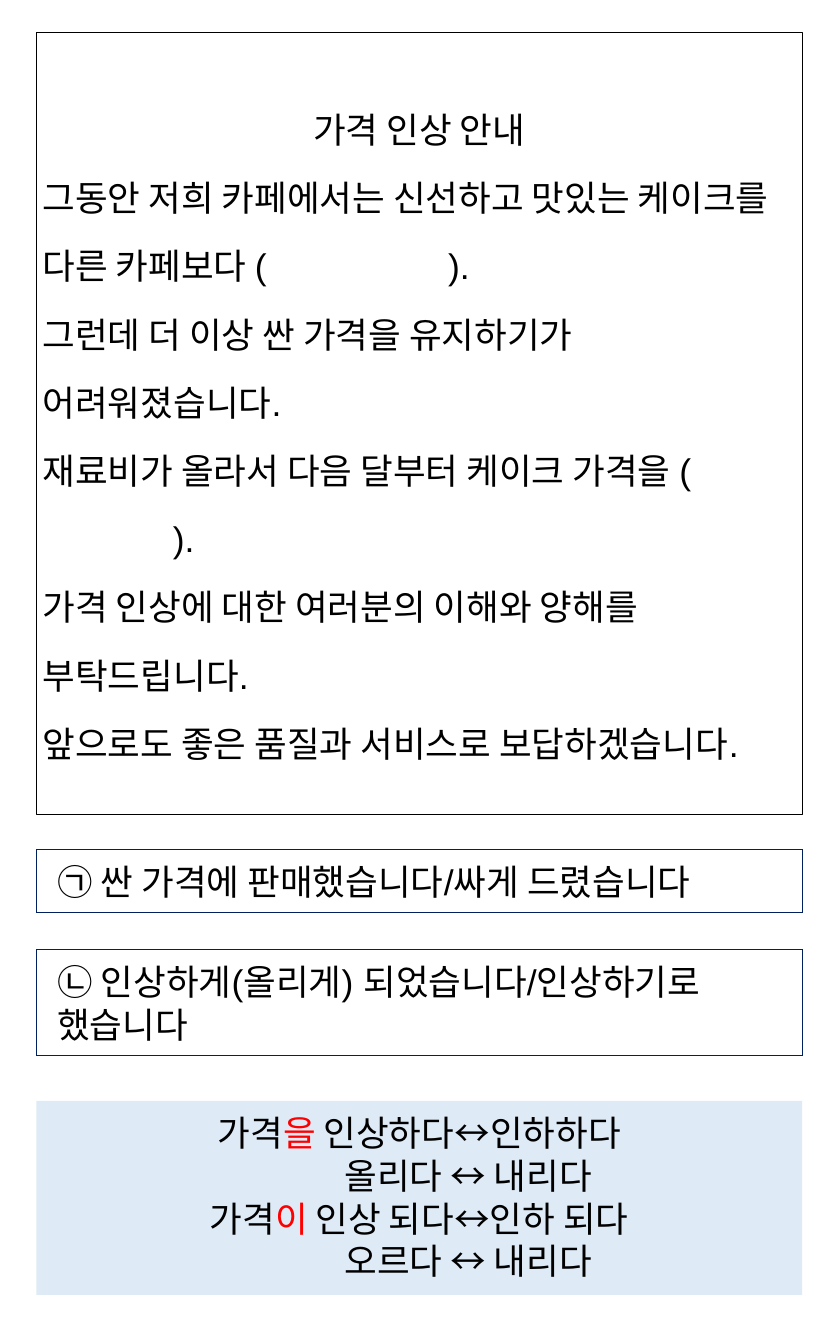
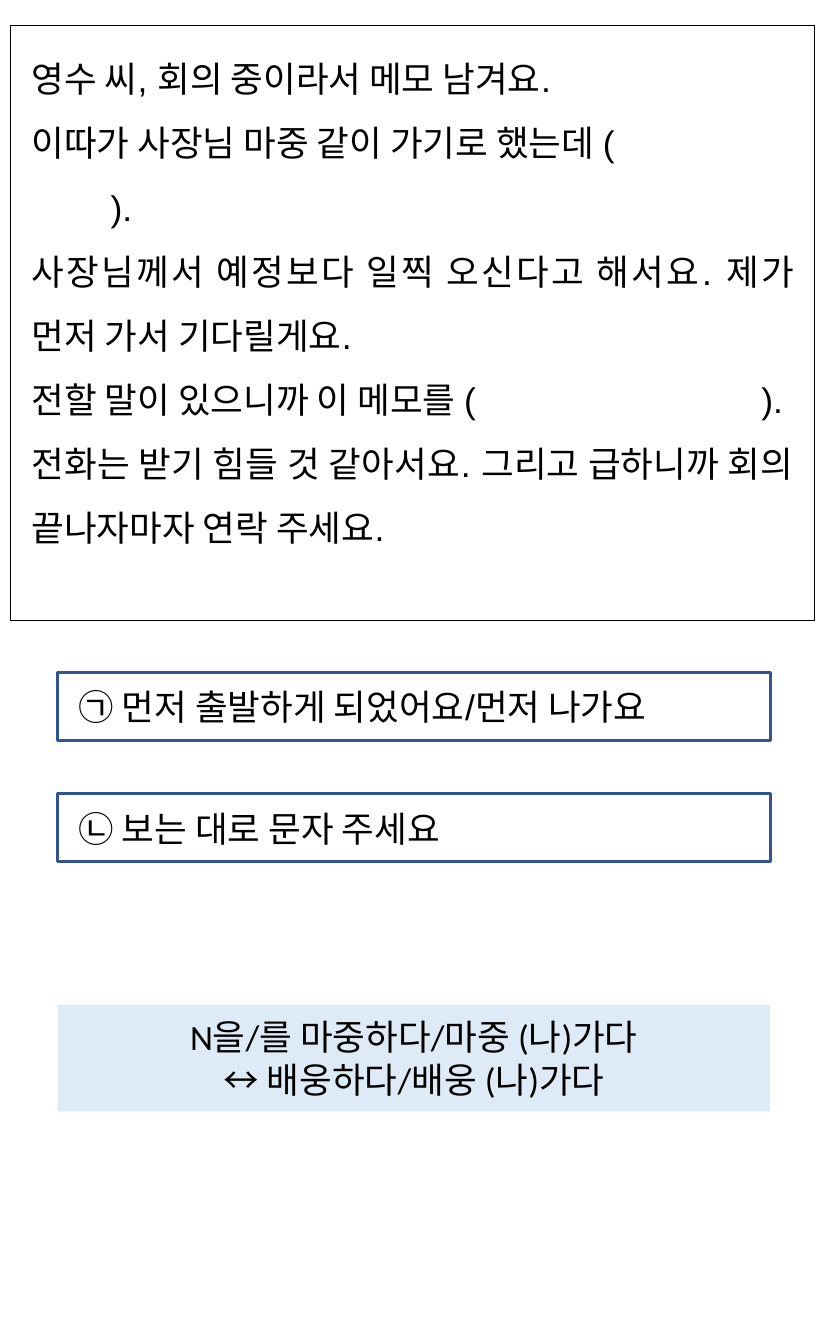
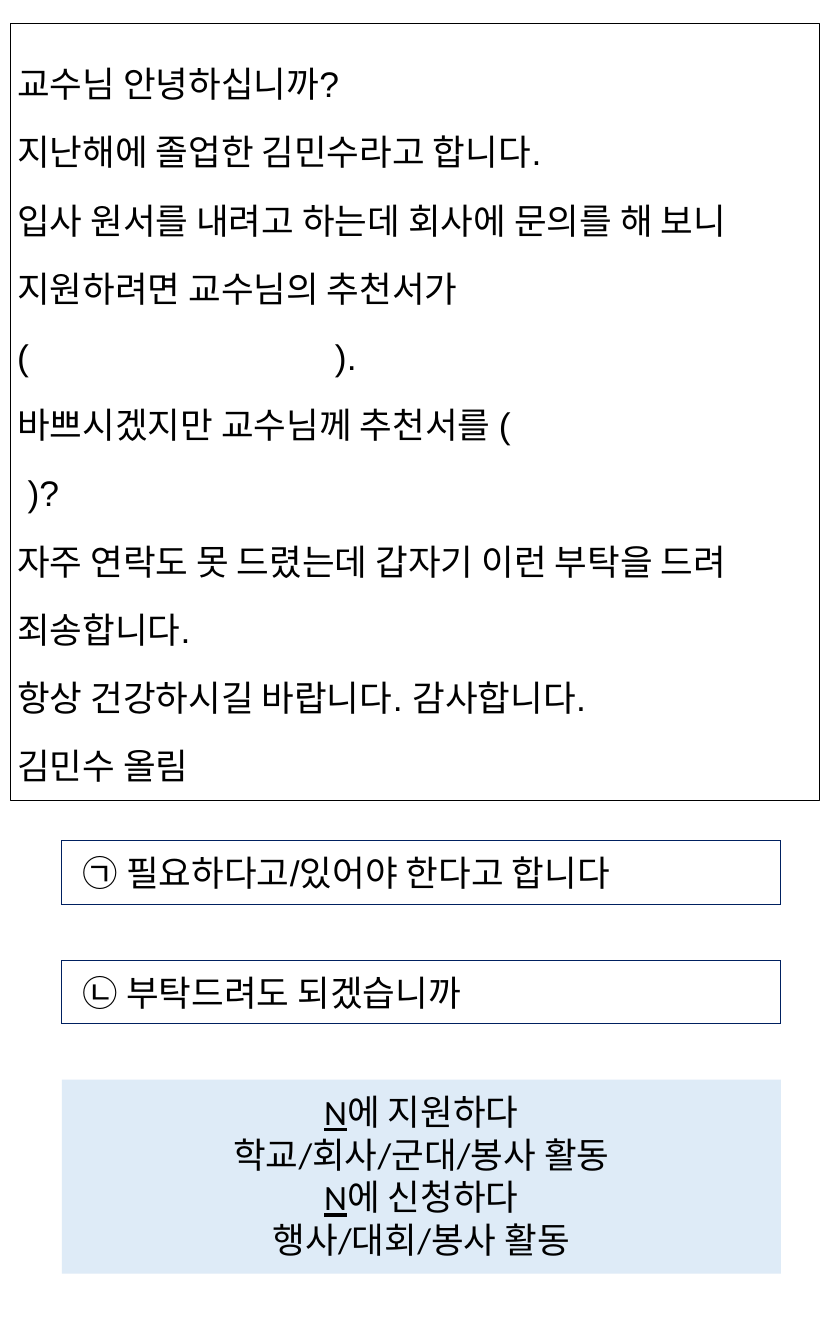
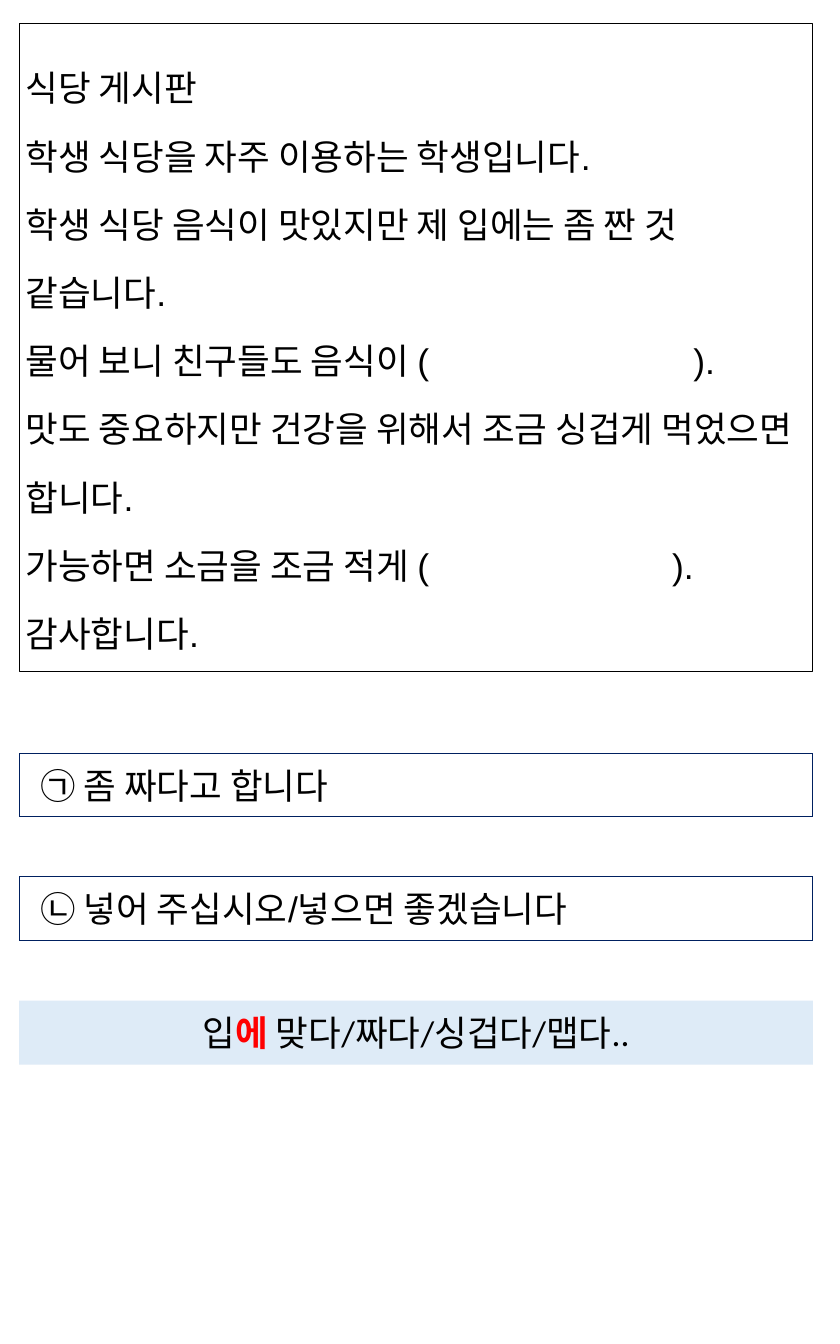
from lxml.etree import SubElement
from pptx import Presentation
from pptx.dml.color import RGBColor
from pptx.enum.text import MSO_ANCHOR, MSO_AUTO_SIZE, PP_ALIGN
from pptx.oxml.ns import qn
from pptx.util import Inches, Pt

COLORS = {"ink": "000000", "paper": "FFFFFF", "navy": "002060",
          "blue": "325491", "pale": "DEEBF7", "red": "FF0000"}
SYMBOL_FONT = "Noto Sans CJK KR"
LEFT, CENTER, JUSTIFY = PP_ALIGN.LEFT, PP_ALIGN.CENTER, PP_ALIGN.JUSTIFY
CM_PER_INCH = 2.54

# Shared looks of the panels
NOTICE = {"fill": "paper", "line": "ink", "width": 0.28, "anchor": MSO_ANCHOR.MIDDLE,
          "insets": (0.03, 0.01), "spacing": 1.6}
MEMO = {"line": "ink", "align": JUSTIFY, "spacing": 1.5}
ANSWER = {"line": "navy"}
MEMO_ANSWER = {"line": "blue", "width": 1, "anchor": MSO_ANCHOR.MIDDLE, "align": JUSTIFY}
VOCABULARY = {"fill": "pale", "align": CENTER, "font": "Calibri"}


def color(name):
    return RGBColor.from_string(COLORS[name])


def entry(*spans, **layout):
    """A paragraph: spans are text or (text, format); layout is align, tab or indent."""
    return spans, layout


def add_text(para, text, font="Arial", ink="ink", bold=False, underline=False):
    for index, part in enumerate(text.split("\n")):
        if index:
            para.add_line_break()
        span = para.add_run()
        span.text = part
        span.font.name = font
        span.font.size = Pt(12)
        span.font.bold = bold
        span.font.underline = underline
        span.font.color.rgb = color(ink)


def set_layout(para, align, spacing, tab=None, indent=None):
    para.alignment = align
    para.line_spacing = spacing
    properties = para._p.get_or_add_pPr()
    if indent:
        properties.set("marL", str(Inches(indent)))
    if tab:
        stops = SubElement(properties, qn("a:tabLst"))
        SubElement(stops, qn("a:tab"), pos=str(Inches(tab)), algn="l")


def add_panel(page, place, entries, fill=None, line=None, width=None, anchor=MSO_ANCHOR.TOP,
              insets=(0.1, 0.05), align=LEFT, spacing=1.0, font="Arial"):
    box = page.shapes.add_textbox(*map(Inches, place))
    if fill:
        box.fill.solid()
        box.fill.fore_color.rgb = color(fill)
    if line:
        box.line.color.rgb = color(line)
    if width:
        box.line.width = Pt(width)

    frame = box.text_frame
    frame.word_wrap = True
    frame.auto_size = MSO_AUTO_SIZE.NONE
    frame.vertical_anchor = anchor
    frame.margin_left = frame.margin_right = Inches(insets[0])
    frame.margin_top = frame.margin_bottom = Inches(insets[1])
    for index, item in enumerate(entries):
        spans, layout = entry(item) if isinstance(item, str) else item
        para = frame.add_paragraph() if index else frame.paragraphs[0]
        set_layout(para, **{"align": align, "spacing": spacing, **layout})
        for span in spans:
            text, style = (span, {}) if isinstance(span, str) else span
            add_text(para, text, **{"font": font, **style})


def add_page(deck):
    return deck.slides.add_slide(deck.slide_layouts[6])


def add_price_notice(page):
    left, width = 0.17, 3.59
    red, symbol = {"ink": "red"}, {"font": SYMBOL_FONT}
    add_panel(page, (left, 0.15, width, 3.67), [
        entry("가격 인상 안내", align=CENTER),
        entry("그동안 저희 카페에서는 신선하고 맛있는 케이크를 다른 카페보다 (\t).", tab=1.9),
        "그런데 더 이상 싼 가격을 유지하기가 어려워졌습니다.",
        entry("재료비가 올라서 다음 달부터 케이크 가격을 (\n\t).", tab=0.61),
        "가격 인상에 대한 여러분의 이해와 양해를 부탁드립니다.",
        "앞으로도 좋은 품질과 서비스로 보답하겠습니다.",
    ], **NOTICE)
    add_panel(page, (left, 3.98, width, 0.3),
              ["㉠ 싼 가격에 판매했습니다/싸게 드렸습니다"], **ANSWER)
    add_panel(page, (left, 4.45, width, 0.5),
              ["㉡ 인상하게(올리게) 되었습니다/인상하기로 했습니다"], **ANSWER)
    add_panel(page, (left, 5.16, width, 0.91), [
        entry("가격", ("을", red), " 인상하다", ("↔인하하다", symbol)),
        entry(("올리다 ↔ 내리다", symbol), indent=0.46),
        entry(("가격", symbol), ("이", {**red, **symbol}), (" 인상 되다↔인하 되다", symbol)),
        entry("오르다", (" ↔ 내리다", symbol), indent=0.46),
    ], **VOCABULARY)


def add_office_memo(page):
    left, width = 0.27, 3.34
    answers = ["㉠ 먼저 출발하게 되었어요/먼저 나가요", "㉡ 보는 대로 문자 주세요"]
    for index, answer in enumerate(answers):
        add_panel(page, (left, 3.15 + 0.57 * index, width, 0.32), [answer], **MEMO_ANSWER)
    add_panel(page, (0.05, 0.12, 3.77, 2.79), [
        "영수 씨, 회의 중이라서 메모 남겨요.",
        entry("이따가 사장님 마중 같이 가기로 했는데 (\n\t).", tab=0.37, align=LEFT),
        "사장님께서 예정보다 일찍 오신다고 해서요. 제가 먼저 가서 기다릴게요.",
        entry("전할 말이 있으니까 이 메모를 (\t).", tab=3.42),
        "전화는 받기 힘들 것 같아서요. 그리고 급하니까 회의 끝나자마자 연락 주세요.",
    ], **MEMO)
    add_panel(page, (left, 4.71, width, 0.5), [
        "N을/를 마중하다/마중 (나)가다",
        entry(("↔ ", {"font": SYMBOL_FONT}), "배웅하다/배웅 (나)가다"),
    ], **VOCABULARY)


def add_professor_letter(page):
    left, width = 0.29, 3.37
    noun = ("N", {"underline": True})
    add_panel(page, (0.05, 0.11, 3.79, 3.64), [
        "교수님 안녕하십니까?",
        "지난해에 졸업한 김민수라고 합니다.",
        entry("입사 원서를 내려고 하는데 회사에 문의를 해 보니 지원하려면 교수님의 추천서가\n(\t).",
              tab=1.49),
        entry("바쁘시겠지만 교수님께 추천서를 (\n\t)?", tab=0.05),
        "자주 연락도 못 드렸는데 갑자기 이런 부탁을 드려 죄송합니다.",
        "항상 건강하시길 바랍니다. 감사합니다.",
        "김민수 올림",
    ], **NOTICE)
    answers = ["㉠ 필요하다고/있어야 한다고 합니다", "㉡ 부탁드려도 되겠습니까"]
    for index, answer in enumerate(answers):
        add_panel(page, (left, 3.94 + 0.56 * index, width, 0.3), [answer], **ANSWER)
    add_panel(page, (left, 5.06, width, 0.91), [
        entry(noun, "에 지원하다"),
        "학교/회사/군대/봉사 활동",
        entry(noun, "에 신청하다"),
        "행사/대회/봉사 활동",
    ], **VOCABULARY)


def add_cafeteria_post(page):
    left, width = 0.09, 3.72
    add_panel(page, (left, 0.11, width, 3.04), [
        "식당 게시판",
        "학생 식당을 자주 이용하는 학생입니다.",
        "학생 식당 음식이 맛있지만 제 입에는 좀 짠 것 같습니다.",
        entry("물어 보니 친구들도 음식이 (\t).", tab=3.13),
        "맛도 중요하지만 건강을 위해서 조금 싱겁게 먹었으면 합니다.",
        entry("가능하면 소금을 조금 적게 (\t).", tab=3.03),
        "감사합니다.",
    ], **NOTICE)
    answers = ["㉠ 좀 짜다고 합니다", "㉡ 넣어 주십시오/넣으면 좋겠습니다"]
    for index, answer in enumerate(answers):
        add_panel(page, (left, 3.53 + 0.58 * index, width, 0.3), [answer], **ANSWER)
    add_panel(page, (left, 4.69, width, 0.3), [
        entry("입", ("에", {"ink": "red", "bold": True}), " 맞다/짜다/싱겁다/맵다.."),
    ], **VOCABULARY)


def main():
    deck = Presentation()
    # Pages of 10 by 16 cm, without the 4:3 type of the default deck
    deck.slide_width, deck.slide_height = Inches(10 / CM_PER_INCH), Inches(16 / CM_PER_INCH)
    deck.element.sldSz.attrib.pop("type", None)
    for fill_page in (add_price_notice, add_office_memo, add_professor_letter, add_cafeteria_post):
        fill_page(add_page(deck))
    deck.save("out.pptx")


if __name__ == "__main__":
    main()
